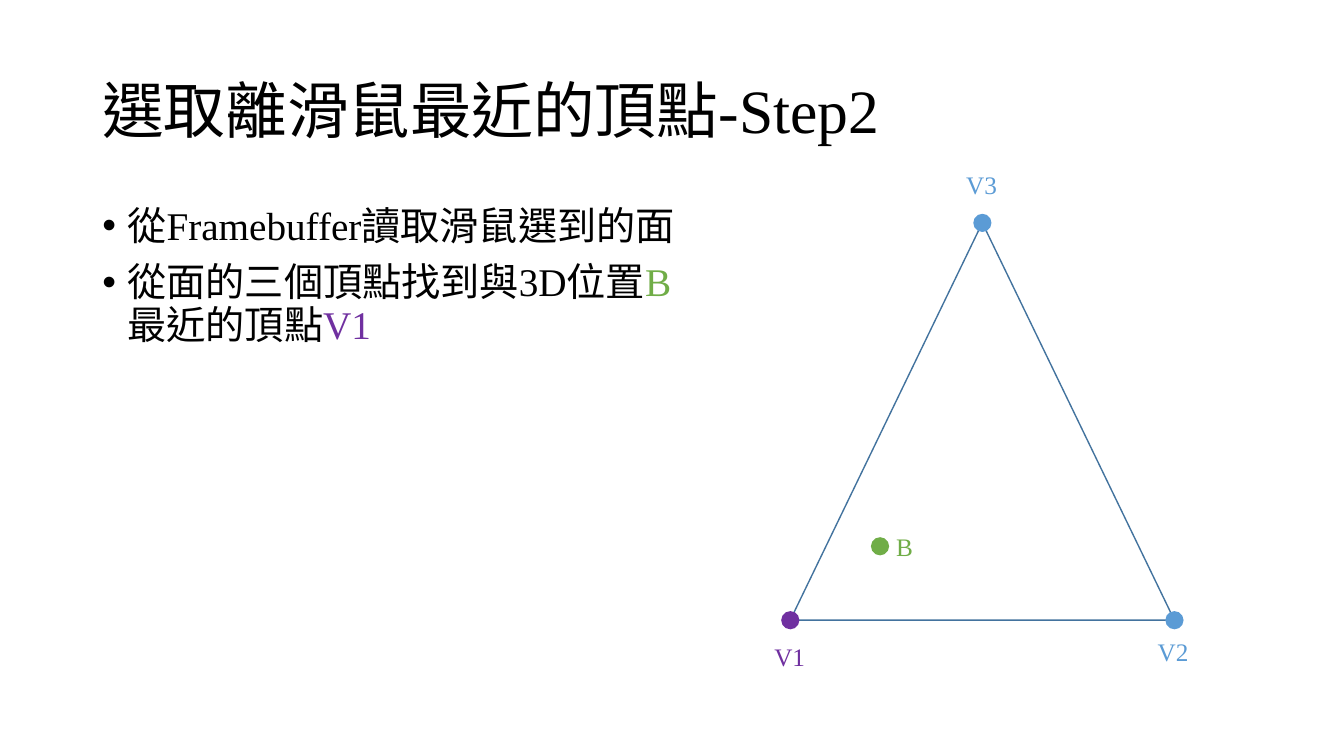
import pptx
import pptx.dml.color
import pptx.enum.shapes
import pptx.enum.text
import pptx.oxml
import pptx.oxml.ns
import pptx.util

Pt = pptx.util.Pt
RGBColor = pptx.dml.color.RGBColor
SHAPES = pptx.enum.shapes.MSO_SHAPE
ANCHOR = pptx.enum.text.MSO_ANCHOR
ALIGN = pptx.enum.text.PP_ALIGN

BLACK = RGBColor(0x00, 0x00, 0x00)
BLUE = RGBColor(0x5B, 0x9B, 0xD5)
PURPLE = RGBColor(0x70, 0x30, 0xA0)
GREEN = RGBColor(0x70, 0xAD, 0x47)
EDGE = RGBColor(0x43, 0x73, 0x9E)
FONT = "Times New Roman"

DOT = 13
LABEL_WIDTH, LABEL_HEIGHT = 62.6, 28.8

# Triangle corners
LEFT_X, RIGHT_X = 564.5, 838.9
TOP_Y, BASE_Y = 159.2, 443

# Name, centre, colour, offset of the label's centre
POINTS = [
    ("V2", RIGHT_X, BASE_Y, BLUE, (-1, 22.3)),
    ("V3", (LEFT_X + RIGHT_X) / 2, TOP_Y, BLUE, (-0.5, -27.2)),
    ("V1", LEFT_X, BASE_Y, PURPLE, (-0.4, 25.7)),
    ("B", 628.6, 390.2, GREEN, (17.5, 0)),
]


def add_bullet(paragraph, indent):
    properties = paragraph._p.get_or_add_pPr()
    properties.set("marL", str(Pt(indent)))
    properties.set("indent", str(-Pt(indent)))
    for tag, name, value in (("a:buFont", "typeface", "Arial"), ("a:buChar", "char", "•")):
        bullet = pptx.oxml.parse_xml(f'<{tag} {pptx.oxml.ns.nsdecls("a")} {name}="{value}"/>')
        properties.append(bullet)


def add_text(slide, paragraphs, left, top, width, height, *, size, align=ALIGN.LEFT,
             anchor=ANCHOR.TOP, spacing=1.0, before=0, bullet_indent=0):
    """Each paragraph is a list of (text, colour) runs."""
    frame = slide.shapes.add_textbox(Pt(left), Pt(top), Pt(width), Pt(height)).text_frame
    frame.word_wrap = True
    frame.vertical_anchor = anchor
    for index, runs in enumerate(paragraphs):
        paragraph = frame.add_paragraph() if index else frame.paragraphs[0]
        paragraph.alignment = align
        paragraph.line_spacing = spacing
        paragraph.space_before = Pt(before)
        if bullet_indent:
            add_bullet(paragraph, bullet_indent)
        for text, colour in runs:
            run = paragraph.add_run()
            run.text = text
            run.font.size = Pt(size)
            run.font.name = FONT
            run.font.color.rgb = colour
            run.font._element.set("lang", "zh-TW")


def add_triangle(slide):
    triangle = slide.shapes.add_shape(
        SHAPES.ISOSCELES_TRIANGLE, Pt(LEFT_X), Pt(TOP_Y),
        Pt(RIGHT_X - LEFT_X), Pt(BASE_Y - TOP_Y))
    triangle.shadow.inherit = False
    triangle.fill.background()
    triangle.line.color.rgb = EDGE
    triangle.line.width = Pt(1)


def add_dot(slide, x, y, colour):
    dot = slide.shapes.add_shape(
        SHAPES.OVAL, Pt(x - DOT / 2), Pt(y - DOT / 2), Pt(DOT), Pt(DOT))
    dot.shadow.inherit = False
    dot.fill.solid()
    dot.fill.fore_color.rgb = colour
    dot.line.fill.background()


def main():
    deck = pptx.Presentation()
    deck.slide_width, deck.slide_height = Pt(960), Pt(540)
    slide = deck.slides.add_slide(deck.slide_layouts[6])

    # Title
    add_text(slide, [[("選取離滑鼠最近的頂點-Step2", BLACK)]], 66, 28.8, 828, 104.4,
             size=44, anchor=ANCHOR.MIDDLE, spacing=0.9)

    # Steps
    steps = [
        [("從Framebuffer讀取滑鼠選到的面", BLACK)],
        [("從面的三個頂點找到與3D位置", BLACK), ("B", GREEN),
         ("最近的頂點", BLACK), ("V1", PURPLE)],
    ]
    add_text(slide, steps, 66, 144, 432, 342.7,
             size=28, spacing=0.9, before=10, bullet_indent=18)

    # Triangle with its vertices and the picked position
    add_triangle(slide)
    for _, x, y, colour, _ in POINTS:
        add_dot(slide, x, y, colour)
    for name, x, y, colour, (dx, dy) in POINTS:
        add_text(slide, [[(name, colour)]], x + dx - LABEL_WIDTH / 2,
                 y + dy - LABEL_HEIGHT / 2, LABEL_WIDTH, LABEL_HEIGHT,
                 size=18, align=ALIGN.CENTER)

    deck.save("out.pptx")


if __name__ == "__main__":
    main()
